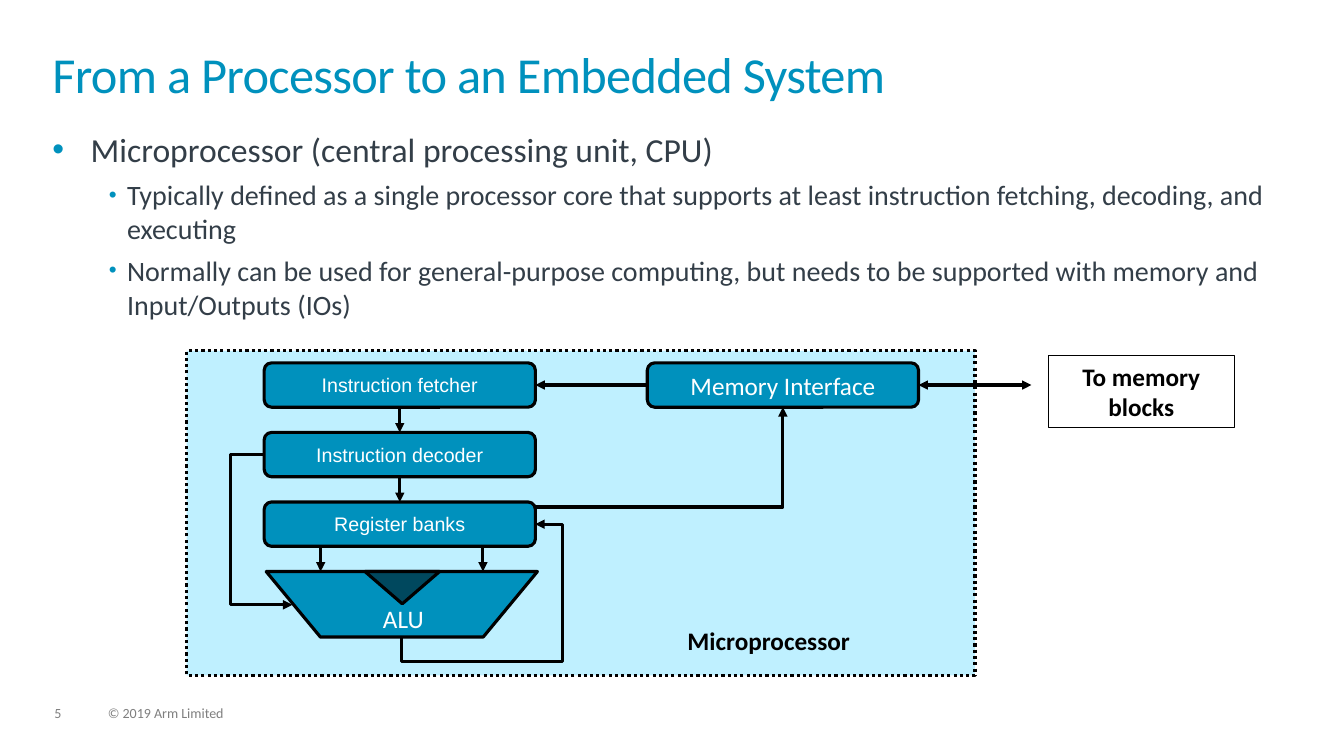
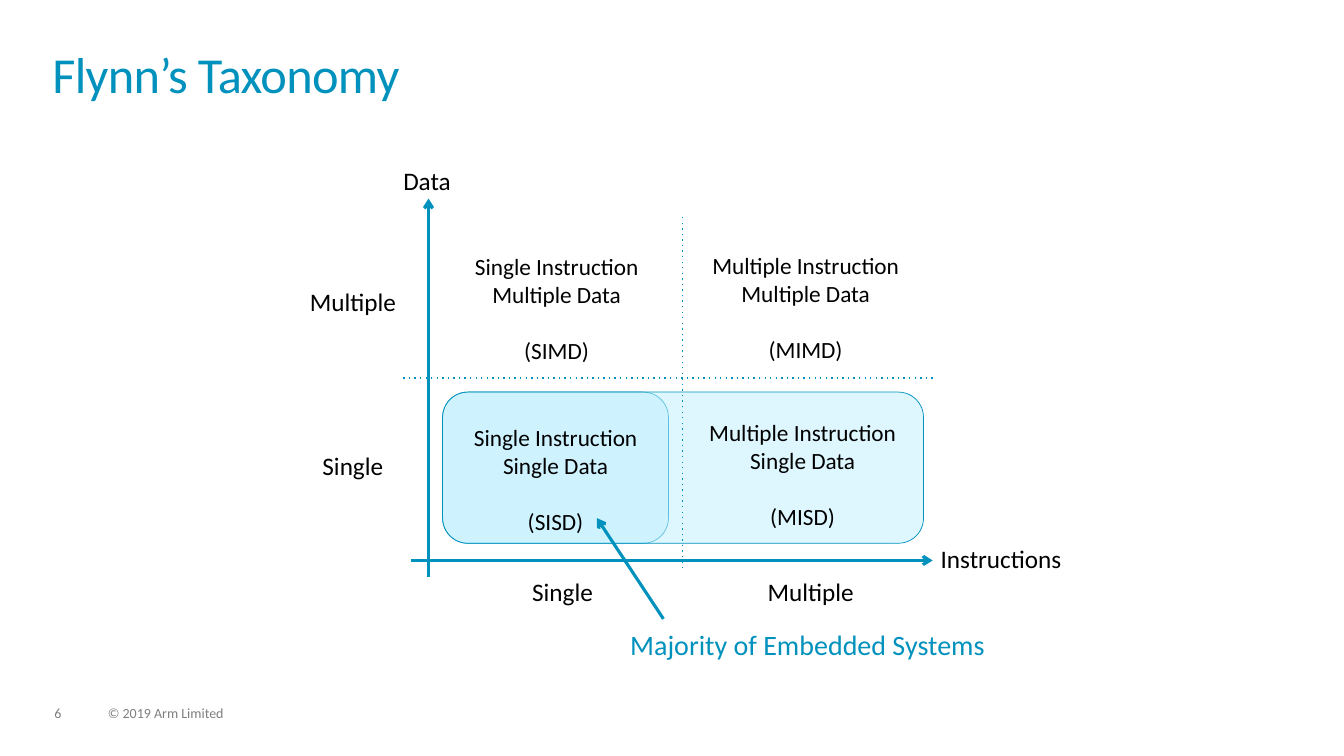
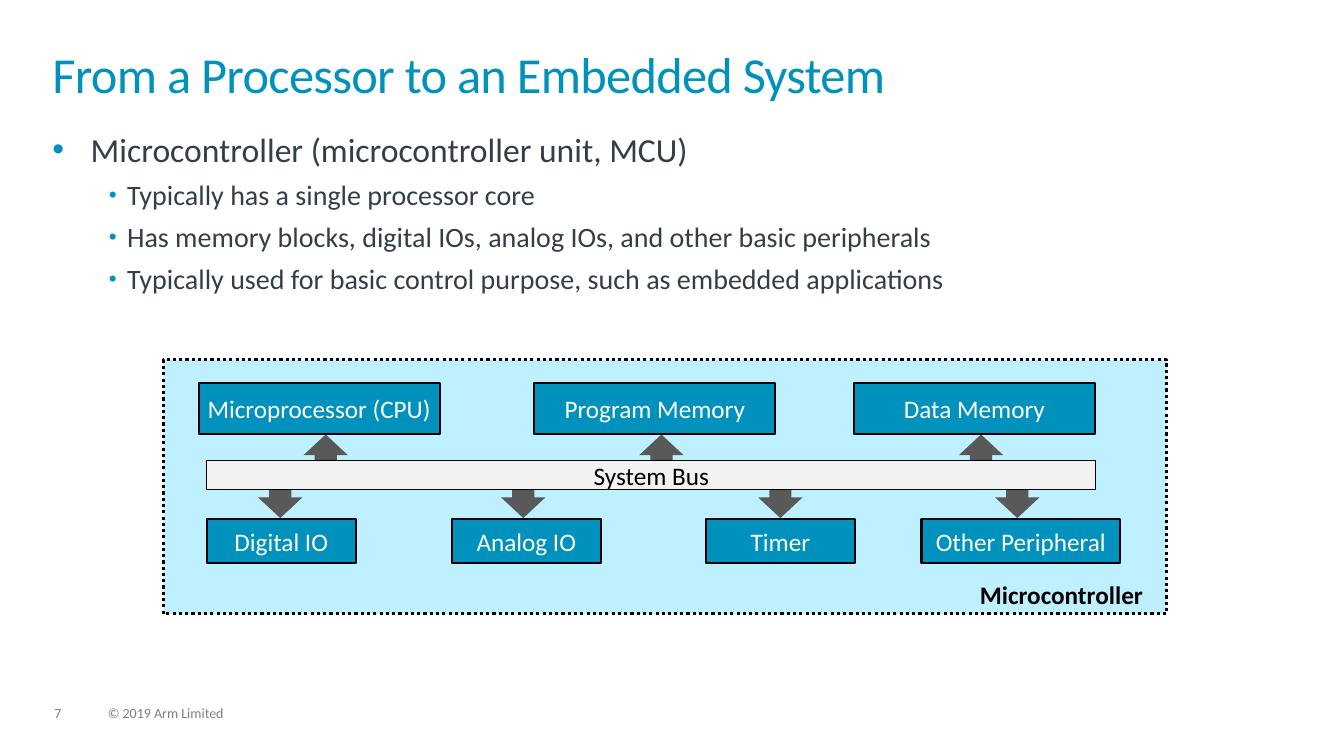
from lxml import etree
from pptx import Presentation
from pptx import util as u
from pptx.dml.color import RGBColor
from pptx.enum import shapes, text
from pptx.oxml import ns

# Shared look
BLUE, PALE, DEEP, BODY = "0091BD", "BFF0FF", "00485E", "333E48"
BLACK, WHITE, GREY, ARROW, BUS = "000000", "FFFFFF", "7F7F7F", "595959", "F2F2F2"
FONT = "Calibri"
WIDTH, HEIGHT = 13.33, 7.5
MARGIN, CONTENT_WIDTH = 0.52, 12.28
FIRST_NUMBER = 5
FOOTER = "© 2019 Arm Limited"
BOX = shapes.MSO_SHAPE
LEFT, CENTER = text.PP_ALIGN.LEFT, text.PP_ALIGN.CENTER

# Content
SYSTEM_TITLE = "From a Processor to an Embedded System"
CPU_POINTS = [
    "Microprocessor (central processing unit, CPU)",
    "Typically defined as a single processor core that supports at least "
    "instruction fetching, decoding, and executing",
    "Normally can be used for general-purpose computing, but needs to be "
    "supported with memory and Input/Outputs (IOs)",
]
MCU_POINTS = [
    "Microcontroller (microcontroller unit, MCU)",
    "Typically has a single processor core",
    "Has memory blocks, digital IOs, analog IOs, and other basic peripherals",
    "Typically used for basic control purpose, such as embedded applications",
]
PIPELINE = ["Instruction fetcher", "Instruction decoder", "Register banks"]
QUADRANTS = [  # left, top, lines
    (5.01, 4.2, ["Single Instruction", "Single Data", "(SISD)"]),
    (7.46, 4.15, ["Multiple Instruction", "Single Data", "(MISD)"]),
    (5.02, 2.5, ["Single Instruction", "Multiple Data", "(SIMD)"]),
    (7.49, 2.49, ["Multiple Instruction", "Multiple Data", "(MIMD)"]),
]
AXIS_LABELS = [  # text, left, top, alignment
    ("Data", 4, 1.64, LEFT), ("Instructions", 9.33, 5.39, LEFT),
    ("Single", 5.08, 5.72, CENTER), ("Multiple", 7.54, 5.72, CENTER),
    ("Single", 3, 4.47, CENTER), ("Multiple", 3, 2.84, CENTER),
]
CORE_BLOCKS = [("Microprocessor (CPU)", 1.97), ("Program Memory", 5.3),
               ("Data Memory", 8.47)]
PERIPHERALS = [  # name, left, width, arrow left
    ("Digital IO", 2.05, 1.48, 2.56), ("Analog IO", 4.48, 1.48, 4.97),
    ("Timer", 7, 1.48, 7.52), ("Other Peripheral", 9.14, 1.97, 9.87),
]


# Drawing helpers
def rgb(value):
    return RGBColor.from_string(value)


def add_xml(parent, tag, **attributes):
    return etree.SubElement(parent, ns.qn(tag), attributes)


def place(shape, left, top, width, height):
    shape.left, shape.top = u.Inches(left), u.Inches(top)
    shape.width, shape.height = u.Inches(width), u.Inches(height)


def add_run(paragraph, words, size, color, font=FONT, bold=False):
    run = paragraph.add_run()
    run.text = words
    run.font.size, run.font.name, run.font.bold = u.Pt(size), font, bold
    run.font.color.rgb = rgb(color)
    return run


def set_frame(frame, inset=None, wrap=True, anchor=text.MSO_ANCHOR.TOP):
    frame.auto_size = text.MSO_AUTO_SIZE.NONE
    frame.word_wrap, frame.vertical_anchor = wrap, anchor
    if inset is not None:
        frame.margin_left = frame.margin_right = u.Inches(inset)
        frame.margin_top = frame.margin_bottom = u.Inches(inset)


def write(frame, lines, size=18, color=BLACK, align=LEFT, **style):
    for index, line in enumerate(lines):
        paragraph = frame.add_paragraph() if index else frame.paragraphs[0]
        paragraph.alignment = align
        add_run(paragraph, line, size, color, **style)


def label(slide, words, at, inset=0, wrap=False, **style):
    box = slide.shapes.add_textbox(*map(u.Inches, at))
    set_frame(box.text_frame, inset, wrap)
    write(box.text_frame, [words] if isinstance(words, str) else words, **style)
    return box.text_frame


def style_line(line, color, width, dash=None, head=None, tail=None):
    line.color.rgb, line.width = rgb(color), u.Pt(width)
    outline = line._get_or_add_ln()
    if dash:
        add_xml(outline, "a:prstDash", val=dash)
    for tag, kind in (("a:headEnd", head), ("a:tailEnd", tail)):
        if kind:
            add_xml(outline, tag, type=kind)


def block(slide, kind, at, fill=None, line=BLACK, width=2.25, dash=None,
          words=None, color=WHITE, alpha=None, **style):
    shape = slide.shapes.add_shape(kind, *map(u.Inches, at))
    shape.shadow.inherit = False
    if fill:
        shape.fill.solid()
        shape.fill.fore_color.rgb = rgb(fill)
    else:
        shape.fill.background()
    if alpha:
        paint = shape.fill._xPr.find(".//" + ns.qn("a:srgbClr"))
        add_xml(paint, "a:alpha", val=str(alpha * 1000))
    if line:
        style_line(shape.line, line, width, dash)
    else:
        shape.line.fill.background()
    if words:
        set_frame(shape.text_frame, wrap=False, anchor=text.MSO_ANCHOR.MIDDLE)
        write(shape.text_frame, words, color=color, align=CENTER, **style)
    return shape


def link(slide, start, end, color=BLACK, width=2.25, bend=None, adjust=(), **ends):
    """Straight connector, or an elbow when a bent preset is given."""
    kind = shapes.MSO_CONNECTOR.ELBOW if bend else shapes.MSO_CONNECTOR.STRAIGHT
    connector = slide.shapes.add_connector(kind, *map(u.Inches, (*start, *end)))
    style_line(connector.line, color, width, **ends)
    properties = connector._element.spPr
    if bend:
        geometry = properties.find(ns.qn("a:prstGeom"))
        geometry.set("prst", bend)
        guides = geometry.find(ns.qn("a:avLst"))
        if guides is None:
            guides = add_xml(geometry, "a:avLst")
        for number, share in enumerate(adjust, 1):
            add_xml(guides, "a:gd", name=f"adj{number}",
                    fmla=f"val {round(share * 100000)}")
    add_xml(properties, "a:effectLst")


# Shared slide parts
def write_points(body, points):
    place(body, MARGIN, 1.28, CONTENT_WIDTH, 5.41)
    set_frame(body.text_frame, 0)
    for index, point in enumerate(points):
        level = min(index, 1)
        paragraph = body.text_frame.add_paragraph() if index else body.text_frame.paragraphs[0]
        paragraph.level = level
        paragraph.space_before = u.Pt(6 * level)
        left, hang, size = ((0.38, 0.38, 24), (0.74, 0.18, 20))[level]
        properties = paragraph._p.get_or_add_pPr()
        properties.set("marL", str(u.Inches(left)))
        properties.set("indent", str(-u.Inches(hang)))
        add_xml(add_xml(properties, "a:buClr"), "a:srgbClr", val=BLUE)
        add_xml(properties, "a:buSzPct", val=("100000", "80000")[level])
        add_xml(properties, "a:buFont", typeface="Arial")
        add_xml(properties, "a:buChar", char="•")
        add_run(paragraph, point, size, BODY)


def new_slide(prs, title, points=None):
    slide = prs.slides.add_slide(prs.slide_layouts[1 if points else 5])
    heading = slide.shapes.title
    place(heading, MARGIN, 0.52, CONTENT_WIDTH, 0.72)
    set_frame(heading.text_frame, 0)
    paragraph = heading.text_frame.paragraphs[0]
    paragraph.alignment, paragraph.line_spacing = LEFT, 0.85
    run = add_run(paragraph, title, 36, BLUE)
    run.font._element.set("spc", "-50")
    if points:
        write_points(slide.placeholders[1], points)
    number = str(FIRST_NUMBER + len(prs.slides) - 1)
    for words, left, width in ((number, 0.54, 0.34), (FOOTER, 1.07, 5.07)):
        footer = label(slide, words, (left, 7.01, width, 0.15), wrap=True,
                       size=10, color=GREY)
        footer.paragraphs[0].line_spacing = 0.9
    return slide


# Slides
def microprocessor(prs):
    slide = new_slide(prs, SYSTEM_TITLE, CPU_POINTS)
    left, top, wide, high, pitch = 2.62, 3.6, 2.69, 0.44, 0.69
    right, middle = left + wide, left + wide / 2
    bus_y, alu_top, alu_bottom = top + high / 2, top + 3 * pitch, 6.32
    memory = 6.42

    block(slide, BOX.RECTANGLE, (1.85, 3.48, 7.82, 3.22), PALE, dash="sysDot")
    for row, stage in enumerate(PIPELINE):
        block(slide, BOX.ROUNDED_RECTANGLE, (left, top + row * pitch, wide, high),
              BLUE, words=[stage], size=14, font="Arial")
    block(slide, BOX.ROUNDED_RECTANGLE, (memory, top, wide, high), BLUE,
          words=["Memory Interface"])
    block(slide, BOX.FLOWCHART_MANUAL_OPERATION, (2.64, alu_top, wide, 0.65), BLUE)
    notch = block(slide, BOX.ISOSCELES_TRIANGLE, (3.62, alu_top, 0.74, 0.32), DEEP)
    notch.rotation = 180
    label(slide, "ALU", (3.7, 5.94, 1.03, 0.4), inset=None, wrap=True, color=WHITE)
    block(slide, BOX.RECTANGLE, (10.4, 3.53, 1.84, 0.71), width=0.75,
          words=["To memory", "blocks"], color=BLACK, bold=True)
    label(slide, "Microprocessor", (6.72, 6.15, 2.4, 0.4), inset=None, wrap=True,
          bold=True)

    # Arrows down the pipeline, then to memory
    for x, row in ((middle, 0), (middle, 1), (3.18, 2), (4.79, 2)):
        start = top + row * pitch + high
        link(slide, (x, start), (x, top + (row + 1) * pitch), tail="triangle")
    link(slide, (memory, bus_y), (right, bus_y), tail="triangle")
    link(slide, (10.23, bus_y), (memory + wide, bus_y),
         head="triangle", tail="triangle")

    # Elbows: write-back, decoder control, register address
    link(slide, (right, bus_y + 2 * pitch), (3.98, alu_bottom),
         bend="bentConnector4", adjust=(-0.2, 1.22), head="triangle")
    link(slide, (left, bus_y + pitch), (2.9, 6),
         bend="bentConnector3", adjust=(-1.2,), tail="triangle")
    link(slide, (right, 5.03), (memory + wide / 2, top + high),
         bend="bentConnector2", tail="triangle")


def taxonomy(prs):
    slide = new_slide(prs, "Flynn’s Taxonomy")
    for width in (2.24, 4.77):
        block(slide, BOX.ROUNDED_RECTANGLE, (4.39, 3.89, width, 1.5), PALE,
              line=BLUE, width=0.5, alpha=50)
    for start, end in (((4.08, 5.56), (9.25, 5.56)), ((4.25, 5.72), (4.25, 1.97)),
                       ((6.58, 6.14), (5.92, 5.14))):
        link(slide, start, end, BLUE, tail="arrow")
    for start, end in (((6.77, 5.64), (6.77, 2.14)), ((4, 3.75), (9.25, 3.75))):
        link(slide, start, end, BLUE, 1, dash="dot")
    for words, left, top, align in AXIS_LABELS:
        label(slide, words, (left, top, 1, 0.42), align=align)
    for left, top, lines in QUADRANTS:
        frame = label(slide, lines, (left, top, 1, 1), size=16.6, align=CENTER)
        frame.paragraphs[-1].space_before = u.Pt(20)
    label(slide, "Majority of Embedded Systems", (6.25, 6.22, 1, 0.25),
          size=20, color=BLUE)


def microcontroller(prs):
    slide = new_slide(prs, SYSTEM_TITLE, MCU_POINTS)
    core_top, core_width, core_height = 3.8, 2.39, 0.51
    arrow_width, arrow_height = 0.44, 0.41
    block(slide, BOX.RECTANGLE, (1.62, 3.57, 9.95, 2.52), PALE, dash="sysDot")
    for name, left in CORE_BLOCKS:
        up = block(slide, BOX.DOWN_ARROW,
                   (left + 1.04, core_top + core_height, arrow_width, arrow_height),
                   ARROW, line=None)
        up.rotation = 180
        block(slide, BOX.RECTANGLE, (left, core_top, core_width, core_height),
              BLUE, width=1.5, words=[name])
    for name, left, width, arrow_left in PERIPHERALS:
        block(slide, BOX.DOWN_ARROW, (arrow_left, 4.73, arrow_width, arrow_height),
              ARROW, line=None)
        block(slide, BOX.RECTANGLE, (left, 5.15, width, 0.44), BLUE, width=1.5,
              words=[name])
    block(slide, BOX.RECTANGLE, (2.05, 4.57, 8.82, 0.29), BUS, width=0.75,
          words=["System Bus"], color=BLACK)
    label(slide, "Microcontroller", (9.62, 5.7, 2.4, 0.4), inset=None, wrap=True,
          bold=True)


def main():
    prs = Presentation()
    prs.slide_width, prs.slide_height = u.Inches(WIDTH), u.Inches(HEIGHT)
    for build in (microprocessor, taxonomy, microcontroller):
        build(prs)
    prs.save("out.pptx")


if __name__ == "__main__":
    main()
